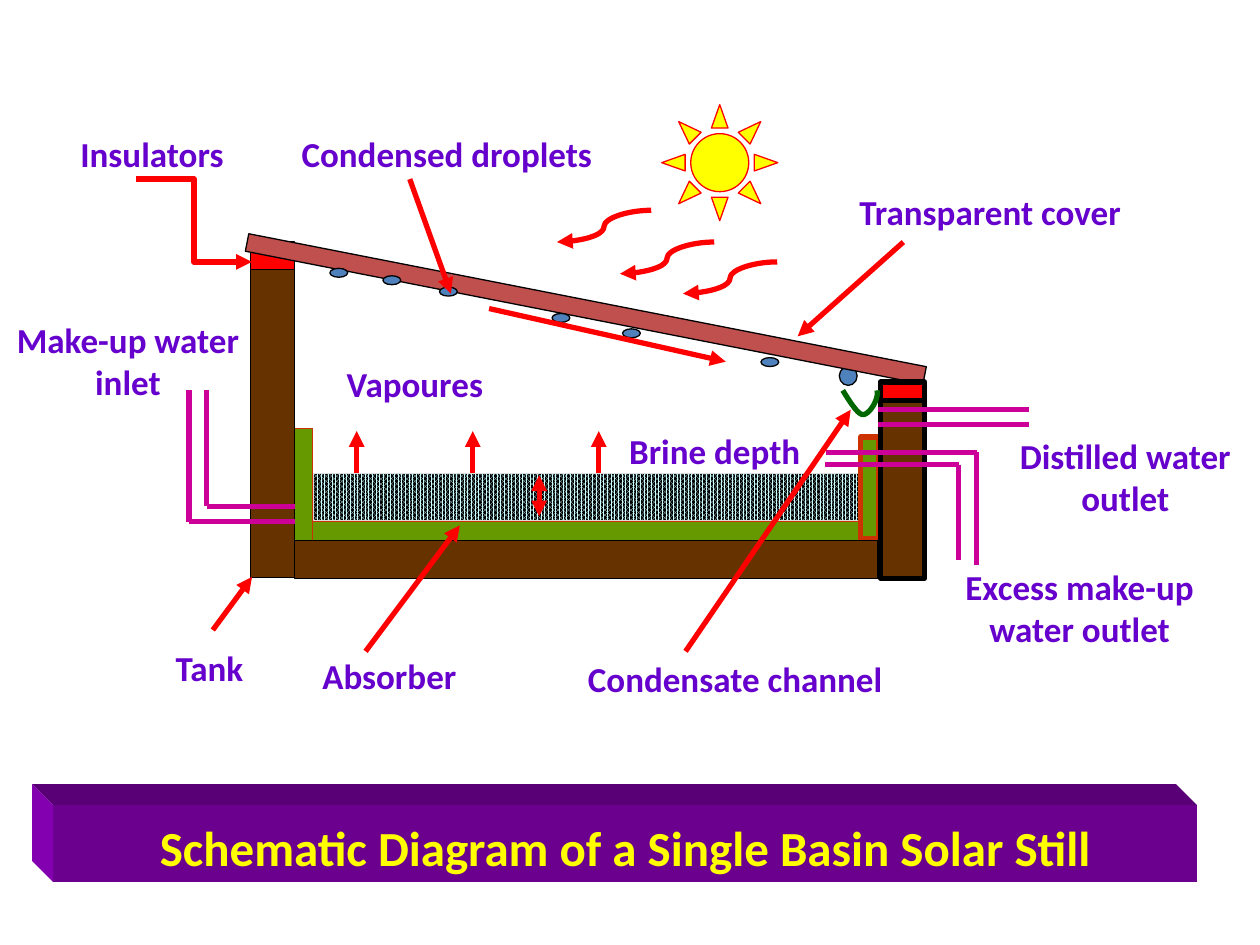
import itertools
import pptx
import pptx.util
import pptx.dml.color
import pptx.enum.dml
import pptx.enum.shapes
import pptx.enum.text
import pptx.oxml
from dataclasses import dataclass

Cm, Pt = pptx.util.Cm, pptx.util.Pt
Rgb = pptx.dml.color.RGBColor.from_string
Kind = pptx.enum.shapes.MSO_SHAPE
Join = pptx.enum.shapes.MSO_CONNECTOR
Align = pptx.enum.text.PP_ALIGN
Anchor = pptx.enum.text.MSO_ANCHOR


@dataclass
class Theme:
    font: str = "Calibri"
    title: int = 28
    label: int = 20
    thin: float = 0.75
    thick: float = 3
    front: str = "6C008E"
    top: str = "5A0076"
    side: str = "8200B0"
    yellow: str = "FFFF00"
    red: str = "FF0000"
    black: str = "000000"
    water: str = "4F81BD"
    brine: str = "CCFFFF"
    green: str = "669900"
    rust: str = "CC3300"
    wood: str = "663300"
    cover: str = "C0504D"
    pipe: str = "CC0099"
    gutter: str = "006600"
    text: str = "6600CC"


look = Theme()
deck = pptx.Presentation()
deck.slide_width, deck.slide_height = Cm(25.4), Cm(19.05)
slide = deck.slides.add_slide(deck.slide_layouts[5])
shapes = slide.shapes


def part(kind, at, fill, edge=look.black, width=look.thin):
    """Add a filled and outlined preset shape at left, top, width, height in cm."""
    shape = shapes.add_shape(kind, *map(Cm, at))
    shape.shadow.inherit = False
    shape.fill.solid()
    shape.fill.fore_color.rgb = Rgb(fill)
    shape.line.color.rgb = Rgb(edge)
    shape.line.width = Pt(width)
    return shape


def link(start, end, color=look.red, ends=("tail",), kind=Join.STRAIGHT):
    """Add a thick connector between two points in cm, with arrowheads at ends."""
    line = shapes.add_connector(kind, *map(Cm, start + end))
    line.line.color.rgb = Rgb(color)
    line.line.width = Pt(look.thick)
    space = pptx.oxml.ns.nsdecls("a")
    for name in ends:
        head = f'<a:{name}End {space} type="triangle"/>'
        line.line._get_or_add_ln().append(pptx.oxml.parse_xml(head))
    line._element.spPr.append(pptx.oxml.parse_xml(f"<a:effectLst {space}/>"))


# Title block with its two bevelled faces
left, top, width, height, depth = 1.07, 16.23, 23.06, 1.55, 0.42
title = shapes.title
title.left, title.top, title.width, title.height = map(Cm, (left, top, width, height))
title.fill.solid()
title.fill.fore_color.rgb = Rgb(look.front)
frame = title.text_frame
frame.text = "Schematic Diagram of a Single Basin Solar Still"
frame.vertical_anchor = Anchor.MIDDLE
para = frame.paragraphs[0]
para.alignment = Align.CENTER
para.line_spacing = 1.1
font = para.runs[0].font
font.name, font.size, font.bold = look.font, Pt(look.title), True
font.color.rgb = Rgb(look.yellow)

back = (left - depth, top - depth)
faces = [
    (look.top, [back, (left + width - depth, top - depth), (left + width, top), (left, top)]),
    (look.side, [back, (left, top), (left, top + height), (left - depth, top + height - depth)]),
]
for color, points in faces:
    points = [(Cm(x), Cm(y)) for x, y in points]
    pen = shapes.build_freeform(*points[0])
    pen.add_line_segments(points[1:])
    face = pen.convert_to_shape()
    face.shadow.inherit = False
    face.fill.solid()
    face.fill.fore_color.rgb = Rgb(color)
    face.line.fill.background()

# Tank, brine and absorber
part(Kind.OVAL, (16.92, 7.39, 0.36, 0.38), look.water)
part(Kind.RECTANGLE, (5.05, 4.88, 0.89, 0.56), look.red)
brine = part(Kind.RECTANGLE, (6.32, 9.55, 11, 0.94), look.brine, "DDDDDD")
brine.fill.patterned()
brine.fill.pattern = pptx.enum.dml.MSO_PATTERN.PERCENT_80
brine.fill.fore_color.rgb = Rgb(look.brine)
brine.fill.back_color.rgb = Rgb(look.black)
part(Kind.RECTANGLE, (5.94, 10.52, 11.76, 0.38), look.green, look.rust)
part(Kind.RECTANGLE, (5.94, 8.64, 0.36, 2.26), look.green, look.rust)
part(Kind.RECTANGLE, (17.35, 8.81, 0.36, 2.06), look.green, look.rust, look.thick)
part(Kind.RECTANGLE, (5.05, 5.44, 0.89, 6.2), look.wood)
part(Kind.RECTANGLE, (17.75, 8.08, 0.89, 3.58), look.wood, width=look.thick)
part(Kind.RECTANGLE, (5.94, 10.9, 11.76, 0.76), look.wood)
cover = part(Kind.RECTANGLE, (4.85, 6.05, 13.92, 0.36), look.cover)
cover.rotation = 11.1
part(Kind.RECTANGLE, (17.75, 7.7, 0.89, 0.38), look.red, width=look.thick)

pipes = [
    [(16.64, 9.37), (19.33, 9.37), (19.33, 11.28)],
    [(16.66, 9.12), (19.69, 9.12), (19.69, 11.38)],
    [(17.7, 8.26), (20.75, 8.26)],
    [(17.7, 8.56), (20.75, 8.56)],
    [(5.94, 10.52), (3.81, 10.52), (3.81, 7.87)],
    [(5.94, 10.21), (4.17, 10.21), (4.17, 7.87)],
]
for pipe in pipes:
    for start, end in itertools.pairwise(pipe):
        link(start, end, look.pipe, ())

drops = [(6.65, 5.41), (7.72, 5.56), (8.86, 5.79), (11.13, 6.32), (12.55, 6.63), (15.34, 7.21)]
for x, y in drops:
    part(Kind.OVAL, (x, y, 0.36, 0.18), look.water)

# Condensate channel, sampled along two Bezier arcs
arcs = [
    [(16.99, 7.87), (17.15, 8.13), (17.3, 8.36), (17.4, 8.36)],
    [(17.4, 8.36), (17.53, 8.36), (17.73, 8.03), (17.68, 7.87)],
]
steps = 10
points = []
for arc in arcs:
    for step in range(steps + 1):
        t = step / steps
        mix = ((1 - t) ** 3, 3 * t * (1 - t) ** 2, 3 * t * t * (1 - t), t ** 3)
        points.append(tuple(Cm(sum(m * p[i] for m, p in zip(mix, arc))) for i in (0, 1)))
pen = shapes.build_freeform(*points[0])
pen.add_line_segments(points[1:], close=False)
gutter = pen.convert_to_shape()
gutter.shadow.inherit = False
gutter.fill.background()
gutter.line.color.rgb = Rgb(look.gutter)
gutter.line.width = Pt(look.thick)

# Labels: text, left, top, width, lines
labels = [
    ("Tank", 2.74, 12.9, 2.97, 1),
    ("Absorber", 5.97, 13.06, 3.76, 1),
    ("Condensate channel", 10.16, 13.13, 9.32, 1),
    ("Excess make-up water outlet", 18.69, 11.28, 6.15, 2),
    ("Distilled water outlet", 19.51, 8.64, 6.35, 2),
    ("Transparent cover", 16.05, 3.71, 7.82, 1),
    ("Condensed droplets", 4.88, 2.54, 8.26, 1),
    ("Insulators", 0.84, 2.54, 4.45, 1),
    ("Make-up water inlet", -0.28, 6.3, 5.72, 2),
    ("Brine depth", 11.02, 8.53, 6.78, 1),
    ("Vapoures", 5.72, 7.19, 5.29, 1),
]
for text, x, y, wide, lines in labels:
    frame = shapes.add_textbox(Cm(x), Cm(y), Cm(wide), Cm(0.24 + 0.86 * lines)).text_frame
    frame.word_wrap = True
    frame.text = text
    para = frame.paragraphs[0]
    para.alignment = Align.CENTER
    font = para.runs[0].font
    font.name, font.size, font.bold = look.font, Pt(look.label), True
    font.color.rgb = Rgb(look.text)

# Pointers, sun rays and vapour
arrows = [
    ((9.86, 6.22), (14.63, 7.29)),
    ((4.29, 12.7), (5.08, 11.63)),
    ((7.37, 13.13), (9.27, 10.59)),
    ((13.82, 13.13), (17.15, 8.26)),
    ((18.21, 4.88), (16.08, 6.78)),
    ((8.26, 3.61), (9.09, 5.92)),
]
for start, end in arrows:
    link(start, end)
link((2.74, 3.61), (5.08, 5.28), kind=Join.ELBOW)

part(Kind.SUN, (13.34, 2.11, 2.34, 2.34), look.yellow, look.red)
for x, y in [(13.13, 4.24), (14.4, 4.88), (15.67, 5.28)]:
    link((x, y), (x - 1.9, y + 0.64), kind=Join.CURVE)
for x in (7.19, 9.53, 12.07):
    link((x, 9.53), (x, 8.69))
link((10.87, 10.41), (10.87, 9.58), ends=("head", "tail"))

deck.save("out.pptx")
